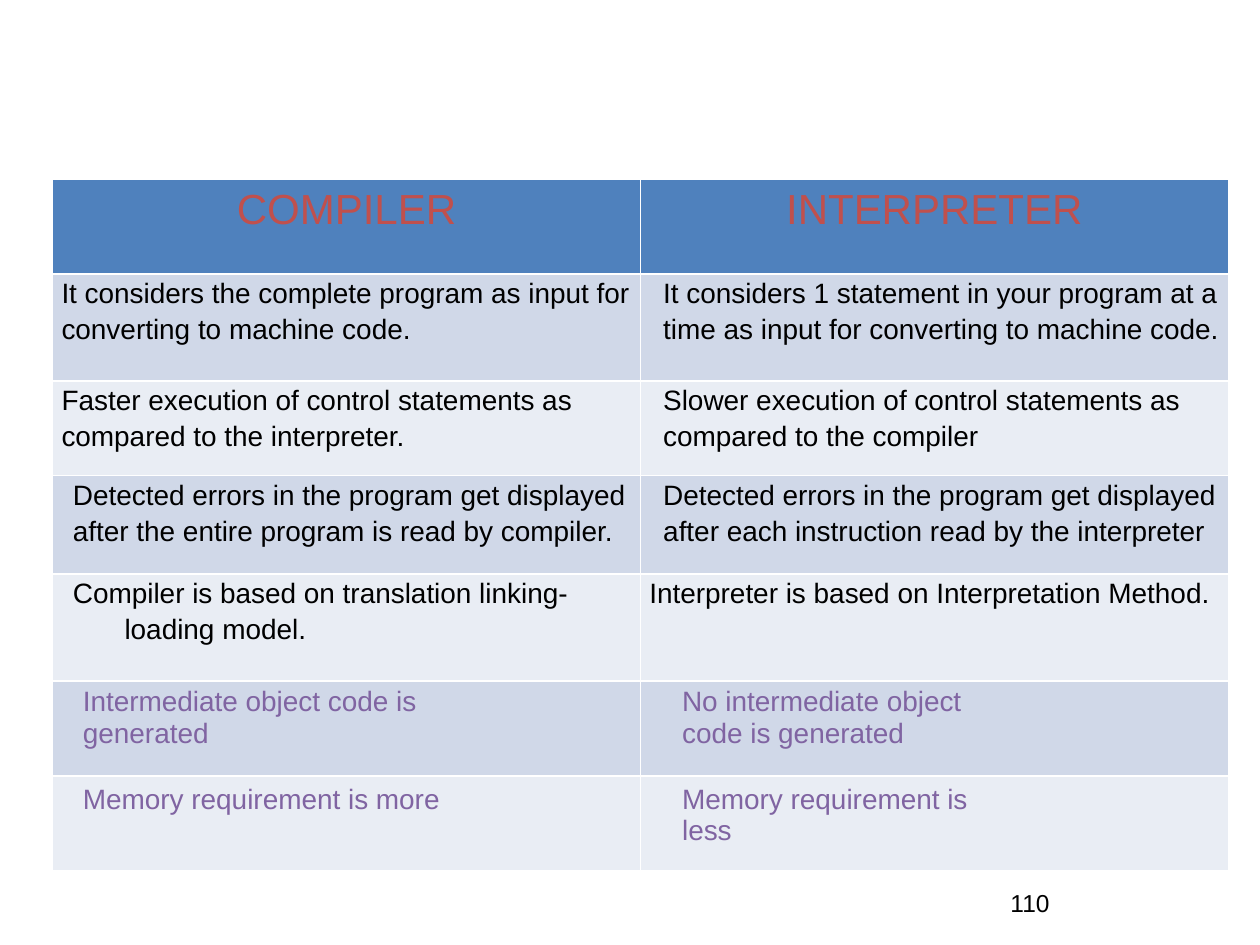
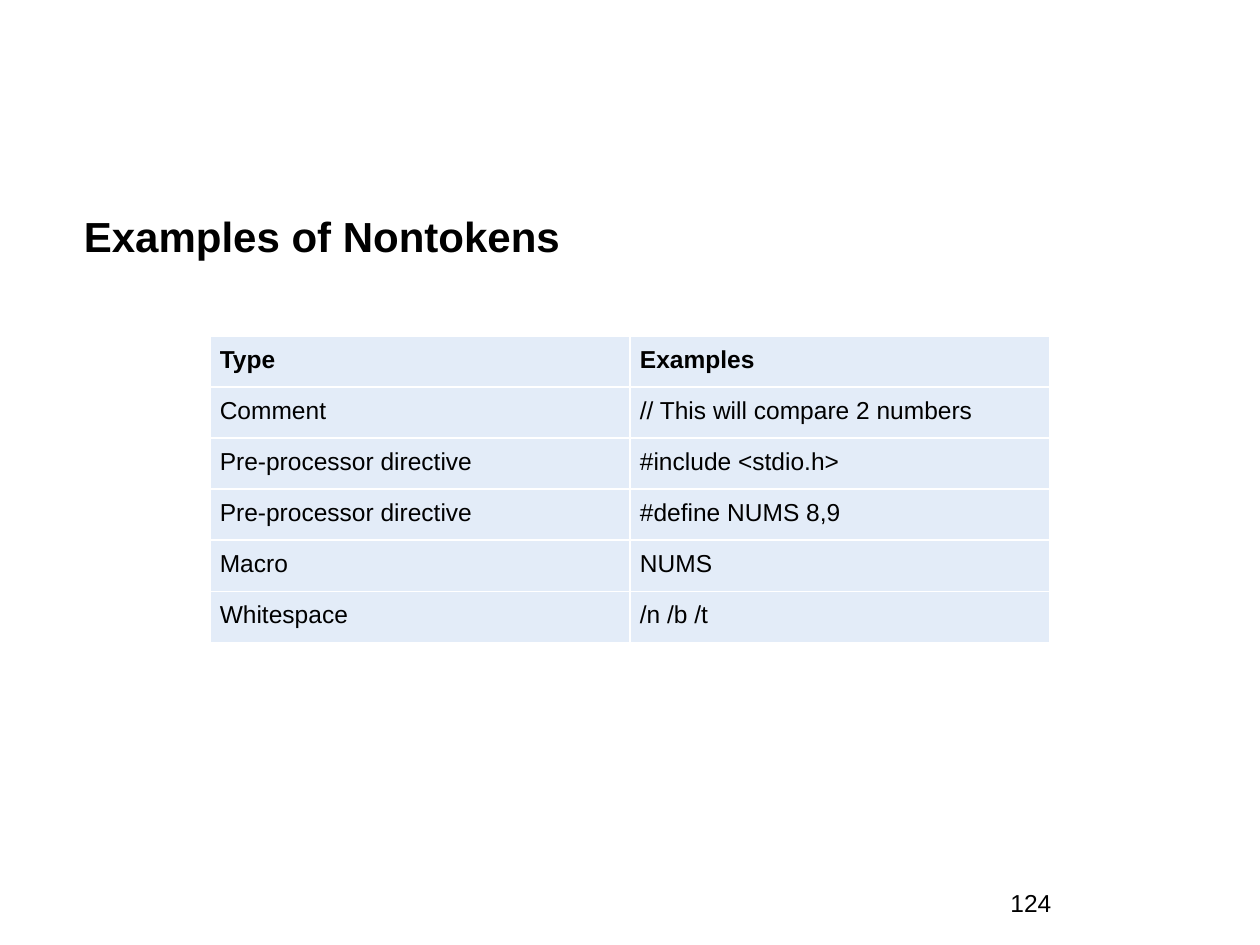
from lxml import etree
from pptx import Presentation
from pptx.dml.color import RGBColor
from pptx.enum.text import MSO_ANCHOR, PP_ALIGN
from pptx.oxml.ns import qn
from pptx.util import Cm, Pt

LEFT, CENTER = PP_ALIGN.LEFT, PP_ALIGN.CENTER
TOP, MIDDLE = MSO_ANCHOR.TOP, MSO_ANCHOR.MIDDLE
TITLE_ONLY, BLANK = 5, 6
BLACK, WHITE, RED, PURPLE = "000000", "FFFFFF", "C0504D", "8064A2"
BLUE, BAND_DARK, BAND_LIGHT, PALE = "4F81BD", "D0D8E8", "E9EDF4", "E3ECF8"


def color(value):
    return RGBColor.from_string(value)


def set_attributes(target, values):
    for name, value in values.items():
        setattr(target, name, value)


class Deck:
    font_name = "Arial"

    def __init__(self):
        self.presentation = Presentation()
        self.presentation.slide_width = Cm(25.4)
        self.presentation.slide_height = Cm(19.05)
        self.slide = None

    def add_slide(self, layout, number):
        layouts = self.presentation.slide_layouts
        self.slide = self.presentation.slides.add_slide(layouts[layout])
        shape = self.slide.shapes.add_textbox(Cm(20.12), Cm(17.78), Cm(5.28), Cm(1.27))
        shape.text_frame.word_wrap = True
        self.fill_text(shape.text_frame, str(number), size=14)

    def fill_text(self, frame, text, size, ink=BLACK, bold=False, align=LEFT,
                  indent=0, hanging=0, spacing=None, after=0):
        for index, line in enumerate(text.split("\n")):
            paragraph = frame.add_paragraph() if index else frame.paragraphs[0]
            properties = paragraph._p.get_or_add_pPr()
            properties.set("marL", str(Cm(indent)))
            properties.set("indent", str(-Cm(hanging)))
            set_attributes(paragraph, {
                "text": line, "alignment": align, "space_before": Pt(0),
                "space_after": Pt(after),
                "line_spacing": 1.0 if index else spacing,
            })
            for run in paragraph.runs:
                set_attributes(run.font, {
                    "name": self.font_name, "size": Pt(size), "bold": bold})
                run.font.color.rgb = color(ink)

    def title(self, text):
        shape = self.slide.shapes.title
        set_attributes(shape, {"left": Cm(1.69), "top": Cm(4.1),
                               "width": Cm(23.7), "height": Cm(1.3)})
        set_attributes(shape.text_frame, {
            "margin_left": 0, "margin_right": 0, "margin_top": 0,
            "margin_bottom": 0, "vertical_anchor": MIDDLE, "word_wrap": True})
        self.fill_text(shape.text_frame, text, size=24, bold=True)

    def table(self, left, top, column_width, row_heights):
        width, height = Cm(2 * column_width), Cm(sum(row_heights))
        frame = self.slide.shapes.add_table(
            len(row_heights), 2, Cm(left), Cm(top), width, height)
        table = frame.table
        set_attributes(table, {"first_row": False, "horz_banding": False})
        for column in table.columns:
            column.width = Cm(column_width)
        for row, row_height in zip(table.rows, row_heights):
            row.height = Cm(row_height)
        return table

    def cell(self, cell, text, fill, margins, **text_format):
        side, edge = margins
        set_attributes(cell, {
            "margin_left": Cm(side), "margin_right": Cm(side),
            "margin_top": Cm(edge), "margin_bottom": Cm(edge),
            "vertical_anchor": TOP})
        properties = cell._tc.get_or_add_tcPr()
        for tag in ("a:lnL", "a:lnR", "a:lnT", "a:lnB"):
            line = etree.SubElement(properties, qn(tag), w=str(Pt(1)))
            solid = etree.SubElement(line, qn("a:solidFill"))
            etree.SubElement(solid, qn("a:srgbClr"), val=WHITE)
        cell.fill.solid()
        cell.fill.fore_color.rgb = color(fill)
        self.fill_text(cell.text_frame, text, **text_format)


def comparison_slide(deck):
    deck.add_slide(BLANK, 110)
    heading = {"size": 24, "ink": RED, "align": CENTER, "spacing": 1.15}
    body = {"size": 16, "spacing": 1.15}
    inset = {**body, "indent": 0.28}
    left_note = {"size": 16, "ink": PURPLE, "indent": 0.61}
    right_note = {**left_note, "indent": 0.84}
    upper, lower = {"spacing": Pt(21)}, {"spacing": Pt(22.6)}
    rows = [
        (1.91, ("COMPILER", heading), ("INTERPRETER", heading)),
        (2.16,
         ("It considers the complete program as input for converting to machine code.", body),
         ("It considers 1 statement in your program at a time as input for "
          "converting to machine code.", inset)),
        (1.91,
         ("Faster execution of control statements as compared to the interpreter.", body),
         ("Slower execution of control statements as compared to the compiler", inset)),
        (1.98,
         ("Detected errors in the program get displayed after the entire program "
          "is read by compiler.", {**body, "indent": 0.23}),
         ("Detected errors in the program get displayed after each instruction "
          "read by the interpreter", inset)),
        (2.16,
         ("Compiler is based on translation linking-loading model.",
          {**body, "indent": 1.27, "hanging": 1.04}),
         ("Interpreter is based on Interpretation Method.", {**body, "after": 12})),
        (1.91,
         ("Intermediate object code is\ngenerated", {**left_note, **upper}),
         ("No intermediate object\ncode is generated", {**right_note, **upper})),
        (1.91,
         ("Memory requirement is more", {**left_note, **lower}),
         ("Memory requirement is\nless", {**right_note, **lower})),
    ]
    table = deck.table(1.06, 3.61, 11.85, [row[0] for row in rows])
    for row_index, (_, *entries) in enumerate(rows):
        band = BAND_DARK if row_index % 2 else BAND_LIGHT
        fill = band if row_index else BLUE
        margins = (0.18, 0) if row_index < 5 else (0, 0)
        for column_index, (text, text_format) in enumerate(entries):
            deck.cell(table.cell(row_index, column_index), text, fill,
                      margins, **text_format)


def nontokens_slide(deck):
    deck.add_slide(TITLE_ONLY, 124)
    deck.title("Examples of Nontokens")
    rows = [
        ("Type", "Examples"),
        ("Comment", "// This will compare 2 numbers"),
        ("Pre-processor directive", "#include <stdio.h>"),
        ("Pre-processor directive", "#define NUMS 8,9"),
        ("Macro", "NUMS"),
        ("Whitespace", "/n /b /t"),
    ]
    table = deck.table(4.23, 6.77, 8.47, [1.03] * len(rows))
    for row_index, texts in enumerate(rows):
        for column_index, text in enumerate(texts):
            deck.cell(table.cell(row_index, column_index), text, PALE,
                      (0.2, 0.2), size=14, bold=row_index == 0)


def main():
    deck = Deck()
    comparison_slide(deck)
    nontokens_slide(deck)
    deck.presentation.save("out.pptx")


if __name__ == "__main__":
    main()
